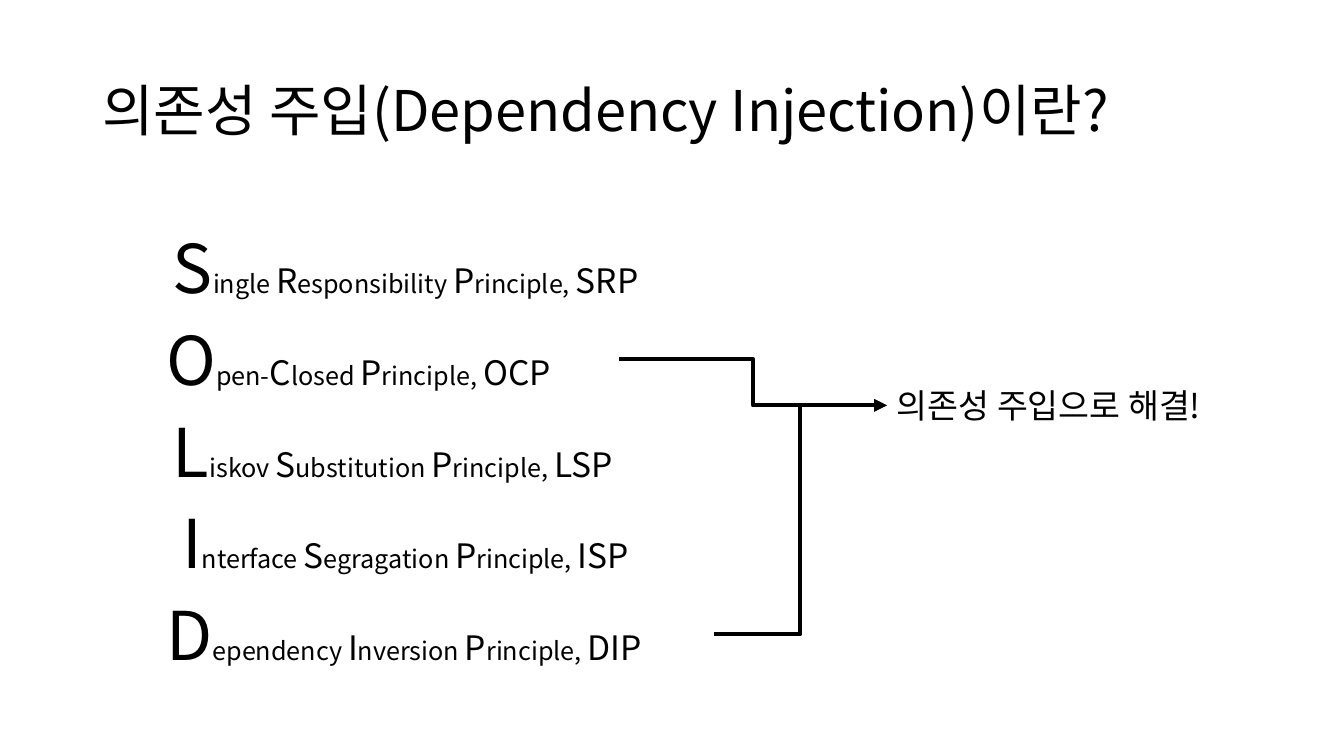
from dataclasses import dataclass
from itertools import groupby

from lxml.etree import SubElement
from pptx import Presentation
from pptx.dml.color import RGBColor
from pptx.enum.shapes import MSO_CONNECTOR
from pptx.enum.text import MSO_ANCHOR, MSO_AUTO_SIZE, PP_ALIGN
from pptx.oxml.ns import qn
from pptx.util import Cm, Pt


@dataclass(frozen=True)
class Theme:
    font: str = "Noto Sans CJK KR"
    ink: RGBColor = RGBColor(0, 0, 0)
    title: int = 40
    first: int = 48
    upper: int = 24
    lower: int = 18
    line: int = 3


THEME = Theme()

# Wording, indent and width (cm)
RULES = [
    ("Single Responsibility Principle, SRP", 0.17, 13.72),
    ("Open-Closed Principle, OCP", 0, 11.66),
    ("Liskov Substitution Principle, LSP", 0.17, 13.31),
    ("Interface Segragation Principle, ISP", 0.4, 14.02),
    ("Dependency Inversion Principle, DIP", 0, 14.05),
]
SOLVED = (1, 4)


def style(run, size):
    font = run.font
    font.name = THEME.font
    font.size = Pt(size)
    font.color.rgb = THEME.ink
    SubElement(font._element, qn("a:ea"), typeface=THEME.font)


def add_label(slide, left, top, width, height):
    """Add an empty text box that grows with its single line."""
    box = slide.shapes.add_textbox(Cm(left), Cm(top), Cm(width), Cm(height))
    box.text_frame.word_wrap = False
    box.text_frame.auto_size = MSO_AUTO_SIZE.SHAPE_TO_FIT_TEXT
    return box


def add_title(slide, left, top, width, height):
    title = slide.shapes.title
    title.left, title.top = Cm(left), Cm(top)
    title.width, title.height = Cm(width), Cm(height)
    frame = title.text_frame
    frame.text = "의존성 주입(Dependency Injection)이란?"
    frame.vertical_anchor = MSO_ANCHOR.MIDDLE
    frame.auto_size = MSO_AUTO_SIZE.NONE
    para = frame.paragraphs[0]
    para.alignment = PP_ALIGN.LEFT
    para.line_spacing = 0.9
    style(para.runs[0], THEME.title)


def add_rules(slide, left, top, height):
    """Stack the principles in equal rows: big initial, mid capitals, small rest."""
    step = height / len(RULES)
    boxes = []
    for row, (text, indent, width) in enumerate(RULES):
        box = add_label(slide, left + indent, top + row * step, width, step)
        para = box.text_frame.paragraphs[0]
        parts = [(text[0], THEME.first)]
        for upper, chars in groupby(text[1:], str.isupper):
            parts.append(("".join(chars), THEME.upper if upper else THEME.lower))
        for part, size in parts:
            run = para.add_run()
            run.text = part
            style(run, size)
        boxes.append(box)
    return boxes


def add_answer(slide, left, top, width, height):
    box = add_label(slide, left, top, width, height)
    box.text_frame.text = "의존성 주입으로 해결!"
    style(box.text_frame.paragraphs[0].runs[0], THEME.upper)
    return box


def add_arrow(slide, start, end):
    """Lead an elbow arrow from the right side of start to the left side of end."""
    arrow = slide.shapes.add_connector(MSO_CONNECTOR.ELBOW, 0, 0, 0, 0)
    arrow.begin_connect(start, 3)
    arrow.end_connect(end, 1)
    arrow.line.color.rgb = THEME.ink
    arrow.line.width = Pt(THEME.line)
    SubElement(arrow.line._get_or_add_ln(), qn("a:tailEnd"), type="triangle")
    SubElement(arrow._element.spPr, qn("a:effectLst"))


def main():
    deck = Presentation()
    deck.slide_width, deck.slide_height = Cm(33.87), Cm(19.05)
    slide = deck.slides.add_slide(deck.slide_layouts.get_by_name("Title Only"))
    add_title(slide, 2.33, 1.01, 29.21, 3.68)
    boxes = add_rules(slide, 3.94, 5.59, 11.55)
    answer = add_answer(slide, 22.35, 9.58, 8.41, 1.27)
    for row in reversed(SOLVED):
        add_arrow(slide, boxes[row], answer)
    deck.save("out.pptx")


if __name__ == "__main__":
    main()
